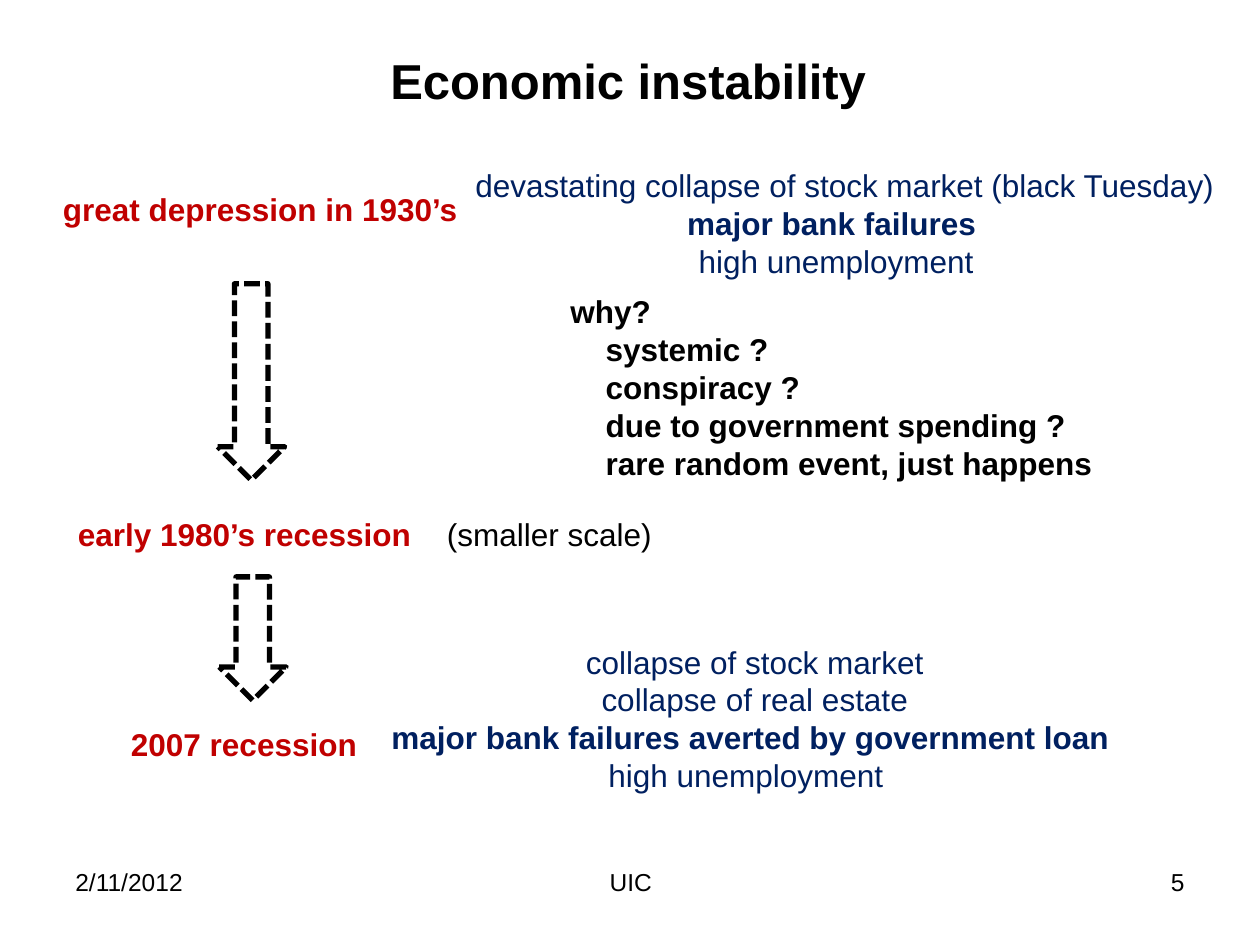
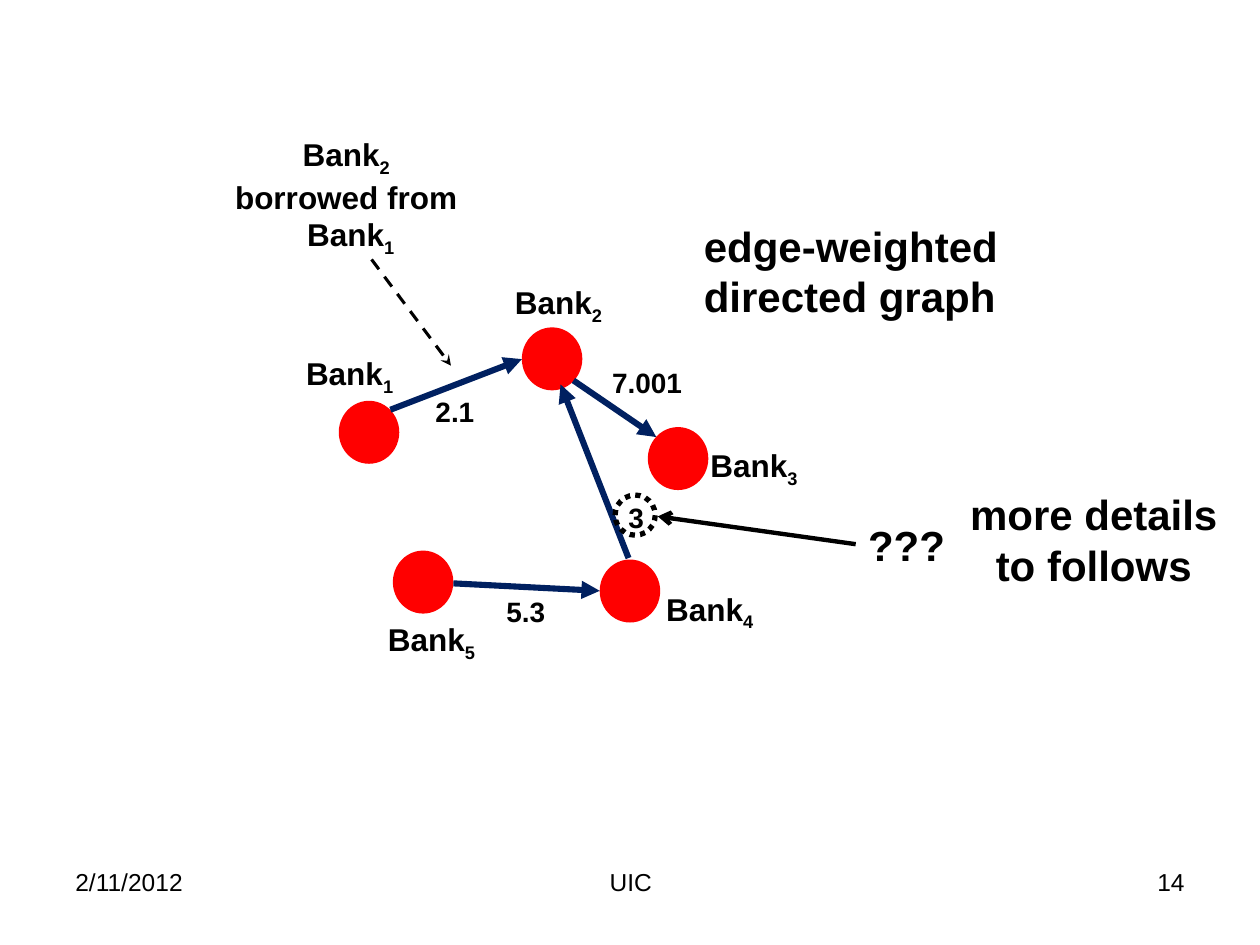
import dataclasses

import lxml.etree
import pptx
import pptx.dml.color
import pptx.enum.dml
import pptx.enum.shapes
import pptx.enum.text
import pptx.oxml.ns
import pptx.util

Cm = pptx.util.Cm
RGB = pptx.dml.color.RGBColor
Align = pptx.enum.text.PP_ALIGN
Dash = pptx.enum.dml.MSO_LINE
Preset = pptx.enum.shapes.MSO_SHAPE


@dataclasses.dataclass(frozen=True)
class Theme:
    font: str = "Arial"
    black: RGB = RGB.from_string("000000")
    crimson: RGB = RGB.from_string("C00000")
    navy: RGB = RGB.from_string("002060")
    red: RGB = RGB.from_string("FF0000")
    title: int = 28
    large: int = 24
    body: int = 18
    weight: int = 16
    footer: int = 14


theme = Theme()


def add_text(page, place, lines, size=theme.body, color=theme.black,
             bold=False, align=Align.LEFT, grow=True):
    box = page.shapes.add_textbox(*[Cm(length) for length in place])
    frame = box.text_frame
    frame.word_wrap = not grow
    if grow:
        frame.auto_size = pptx.enum.text.MSO_AUTO_SIZE.SHAPE_TO_FIT_TEXT
    for number, line in enumerate(lines):
        para = frame.paragraphs[0] if number == 0 else frame.add_paragraph()
        para.alignment = align
        if line.get("indent"):
            para._p.get_or_add_pPr().set("marL", str(Cm(line["indent"])))
        for key in ("text", "sub"):
            if key not in line:
                continue
            span = para.add_run()
            span.text = line[key]
            span.font.name = theme.font
            span.font.size = pptx.util.Pt(size)
            span.font.bold = line.get("bold", bold)
            span.font.color.rgb = color
            if key == "sub":
                span.font._element.set("baseline", "-25000")


def add_arrow(page, start, end, color, width, head, dash=None):
    arrow = page.shapes.add_connector(
        pptx.enum.shapes.MSO_CONNECTOR.STRAIGHT,
        *[Cm(length) for length in start + end])
    arrow.line.color.rgb = color
    arrow.line.width = pptx.util.Pt(width)
    if dash is not None:
        arrow.line.dash_style = dash
    qn = pptx.oxml.ns.qn
    tail = lxml.etree.SubElement(arrow.line._get_or_add_ln(), qn("a:tailEnd"))
    tail.set("type", head)
    lxml.etree.SubElement(arrow._element.spPr, qn("a:effectLst"))


deck = pptx.Presentation()
deck.slide_width = Cm(25.4)
deck.slide_height = Cm(19.05)
history, graph = [deck.slides.add_slide(deck.slide_layouts[6]) for _ in range(2)]

for page, page_number in ((history, "5"), (graph, "14")):
    for left, width, text, align in (
        (1.27, 5.92, "2/11/2012", Align.LEFT),
        (8.69, 8.05, "UIC", Align.CENTER),
        (18.21, 5.92, page_number, Align.RIGHT),
    ):
        add_text(page, (left, 17.35, width, 1.32), [{"text": text}],
                 size=theme.footer, align=align, grow=False)

add_text(history, (0.51, 0.89, 24.31, 1.63), [{"text": "Economic instability"}],
         size=theme.title, bold=True, align=Align.CENTER, grow=False)

for place, text in (
    ((1.02, 3.71, 8.53, 1.02), "great depression in 1930’s"),
    ((1.32, 10.26, 7.29, 1.02), "early 1980’s recession"),
    ((2.39, 14.5, 5.11, 1.02), "2007 recession"),
):
    add_text(history, place, [{"text": text}], color=theme.crimson, bold=True)

add_text(history, (8.76, 10.26, 4.67, 1.02), [{"text": "(smaller scale)"}])

depression_effects = [
    {"text": "devastating collapse of stock market (black Tuesday)", "indent": 0.53},
    {"text": "major bank failures", "bold": True},
    {"text": "high unemployment", "indent": 0.18},
]
recession_effects = [
    {"text": "collapse of stock market", "indent": 0.36},
    {"text": "collapse of real estate", "indent": 0.36},
    {"text": "major bank failures averted by government loan", "bold": True,
     "indent": 0.18},
    {"text": "high unemployment"},
]
for place, effects in (
    ((8.74, 3.23, 16.05, 2.57), depression_effects),
    ((7.21, 12.83, 15.65, 3.33), recession_effects),
):
    add_text(history, place, effects, color=theme.navy, align=Align.CENTER)

causes = ("systemic ?", "conspiracy ?", "due to government spending ?",
          "rare random event, just happens")
add_text(history, (11.25, 5.77, 11.13, 4.11),
         [{"text": "why?"}] + [{"text": cause, "indent": 0.71} for cause in causes],
         bold=True)

banks = (
    ((6.83, 8.08), (5.92, 7.01)),
    ((10.52, 6.6), (10.13, 5.59)),
    ((13.06, 8.61), (14.07, 8.86)),
    ((12.09, 11.28), (13.18, 11.76)),
    ((7.92, 11.1), (7.57, 12.37)),
)
for bank_number, (corner, label_corner) in enumerate(banks, 1):
    node = graph.shapes.add_shape(
        Preset.OVAL, *[Cm(length) for length in corner + (1.22, 1.27)])
    node.shadow.inherit = False
    node.fill.solid()
    node.fill.fore_color.rgb = theme.red
    node.line.fill.background()
    add_text(graph, label_corner + (2.31, 1.02),
             [{"text": "Bank", "sub": str(bank_number)}], bold=True)

for start, end, weight, left, top, width in (
    ((7.87, 8.26), (10.52, 7.24), "2.1", 8.53, 7.82, 1.3),
    ((11.56, 7.67), (13.23, 8.81), "7.001", 12.09, 7.24, 1.93),
    ((12.67, 11.25), (11.3, 7.75), "3", 12.42, 9.96, 0.84),
    ((9.14, 11.76), (12.09, 11.91), "5.3", 9.96, 11.86, 1.3),
):
    add_arrow(graph, start, end, theme.navy, 3.5, "triangle")
    add_text(graph, (left, top, width, 0.94), [{"text": weight}],
             size=theme.weight, bold=True)

add_text(graph, (4.29, 2.59, 5.38, 2.57),
         [{"text": "Bank", "sub": "2"}, {"text": "borrowed from"},
          {"text": "Bank", "sub": "1", "indent": 0.18}],
         bold=True, align=Align.CENTER)
add_arrow(graph, (7.49, 5.23), (9.09, 7.37), theme.black, 1.75, "stealth", Dash.DASH)
add_arrow(graph, (17.25, 10.97), (13.26, 10.41), theme.black, 2.5, "arrow")

for place, texts, align in (
    ((13.94, 4.32, 6.73, 2.31), ("edge-weighted", "directed graph"), Align.LEFT),
    ((17.25, 10.34, 2.08, 1.27), ("???",), Align.LEFT),
    ((19.28, 9.73, 5.54, 2.31), ("more details", "to follows"), Align.CENTER),
):
    add_text(graph, place, [{"text": text} for text in texts],
             size=theme.large, bold=True, align=align)

for page, preset, place, dash in (
    (history, Preset.DOWN_ARROW, (4.39, 5.72, 1.35, 3.96), Dash.SQUARE_DOT),
    (history, Preset.DOWN_ARROW, (4.42, 11.63, 1.35, 2.49), Dash.SQUARE_DOT),
    (graph, Preset.OVAL, (12.4, 9.98, 0.81, 0.81), Dash.ROUND_DOT),
):
    outline = page.shapes.add_shape(preset, *[Cm(length) for length in place])
    outline.shadow.inherit = False
    outline.fill.background()
    outline.line.color.rgb = theme.black
    outline.line.width = pptx.util.Pt(3)
    outline.line.dash_style = dash

deck.save("out.pptx")
